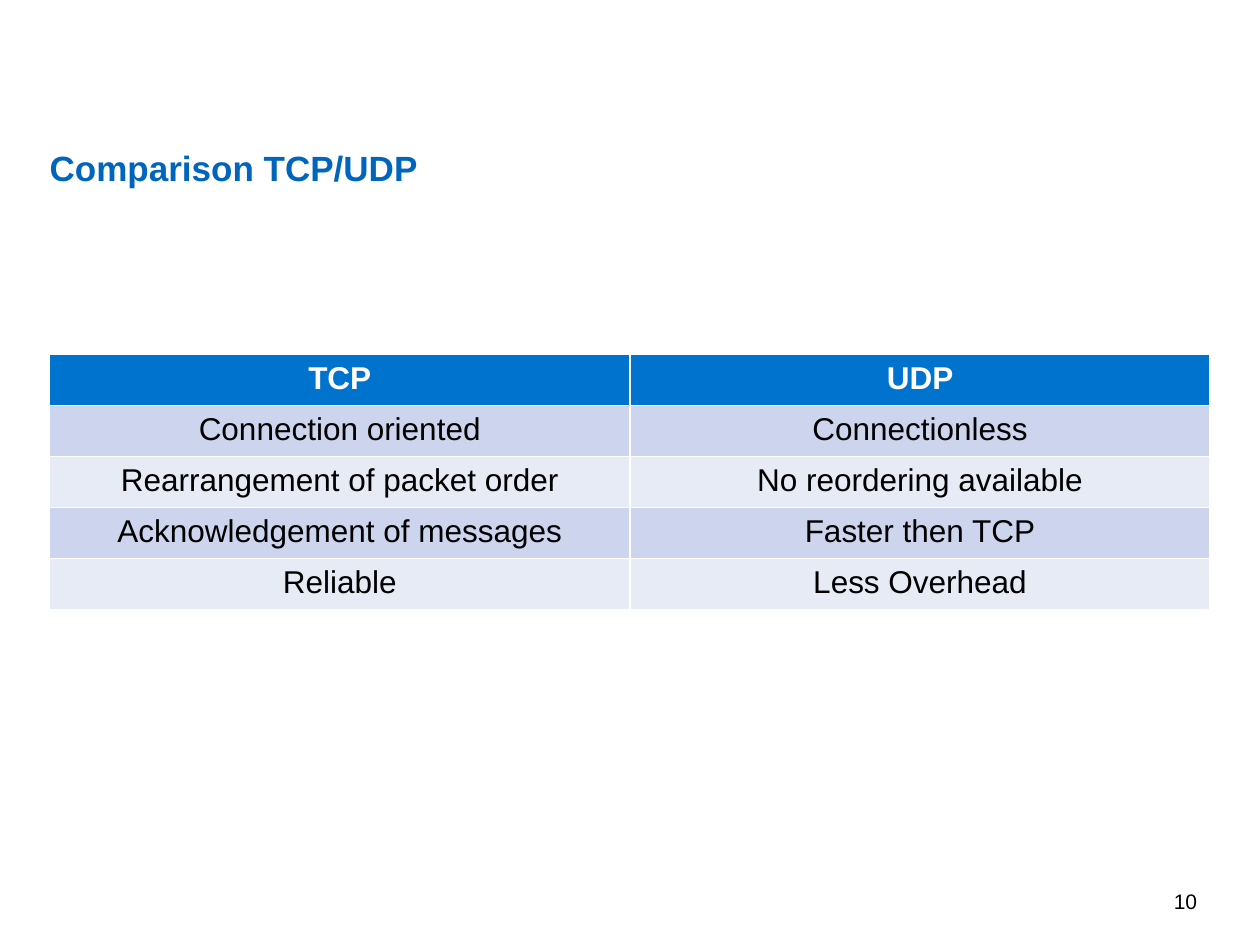
"""Build the slide that compares TCP and UDP in a table."""
import pptx
import pptx.dml.color
import pptx.enum.text
import pptx.util

Pt = pptx.util.Pt
ALIGN = pptx.enum.text.PP_ALIGN
ANCHOR = pptx.enum.text.MSO_ANCHOR
COLORS = {
    "title": "0065BD",
    "header": "0073CF",
    "odd": "CCD5ED",
    "even": "E7EBF6",
    "white": "FFFFFF",
    "black": "000000",
}
ROWS = [
    ("TCP", "UDP"),
    ("Connection oriented", "Connectionless"),
    ("Rearrangement of packet order", "No reordering available"),
    ("Acknowledgement of messages", "Faster then TCP"),
    ("Reliable", "Less Overhead"),
]
LEFT, COLUMN_WIDTH, ROW_HEIGHT = 28.35, 331.6, 29.2


def rgb(name):
    return pptx.dml.color.RGBColor.from_string(COLORS[name])


def style(paragraph, size, color, align, bold=False):
    paragraph.alignment = align
    paragraph.font.name = "Arial"
    paragraph.font.size = Pt(size)
    paragraph.font.bold = bold
    paragraph.font.color.rgb = rgb(color)


presentation = pptx.Presentation()
presentation.slide_width, presentation.slide_height = Pt(720), Pt(540)
slide = presentation.slides.add_slide(presentation.slide_layouts[5])

title = slide.shapes.title
title.left, title.top, title.width, title.height = Pt(LEFT), Pt(77.8), Pt(584.6), Pt(28.3)
heading = title.text_frame
heading.text = "Comparison TCP/UDP"
heading.margin_left = heading.margin_top = heading.margin_right = heading.margin_bottom = 0
heading.vertical_anchor = ANCHOR.TOP
heading.auto_size = pptx.enum.text.MSO_AUTO_SIZE.NONE
heading.paragraphs[0].line_spacing = 1.25
style(heading.paragraphs[0], 20, "title", ALIGN.LEFT, bold=True)

comparison = slide.shapes.add_table(
    len(ROWS), 2, Pt(LEFT), Pt(202.4), Pt(2 * COLUMN_WIDTH), Pt(len(ROWS) * ROW_HEIGHT)
).table
for column in comparison.columns:
    column.width = Pt(COLUMN_WIDTH)
for r, texts in enumerate(ROWS):
    comparison.rows[r].height = Pt(ROW_HEIGHT)
    is_header = r == 0
    band = "header" if is_header else "odd" if r % 2 else "even"
    for c, text in enumerate(texts):
        cell = comparison.cell(r, c)
        cell.text = text
        cell.fill.solid()
        cell.fill.fore_color.rgb = rgb(band)
        style(cell.text_frame.paragraphs[0], 18, "white" if is_header else "black",
              ALIGN.CENTER, bold=is_header)

page_number = slide.shapes.add_textbox(Pt(523.4), Pt(500.4), Pt(167.8), Pt(28.8)).text_frame
page_number.word_wrap = True
page_number.vertical_anchor = ANCHOR.MIDDLE
page_number.text = "10"
style(page_number.paragraphs[0], 12, "black", ALIGN.RIGHT)

presentation.save("out.pptx")
